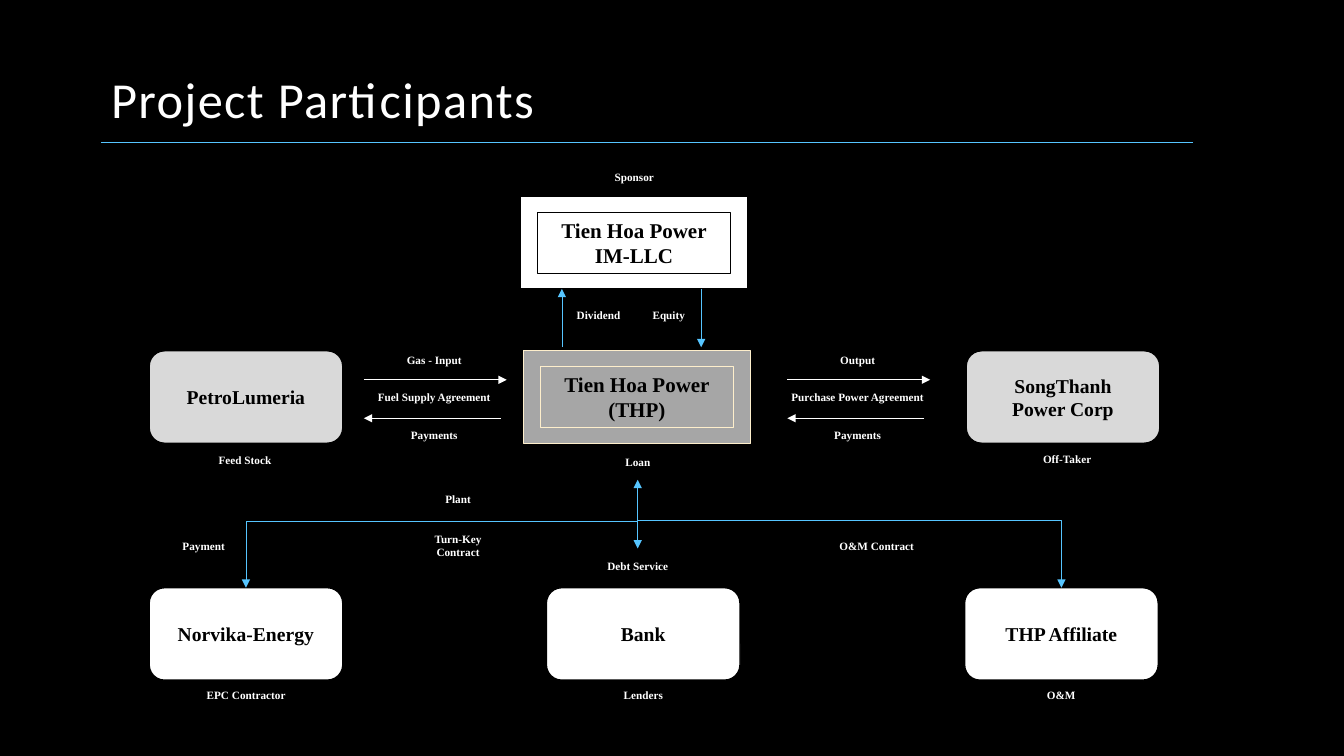
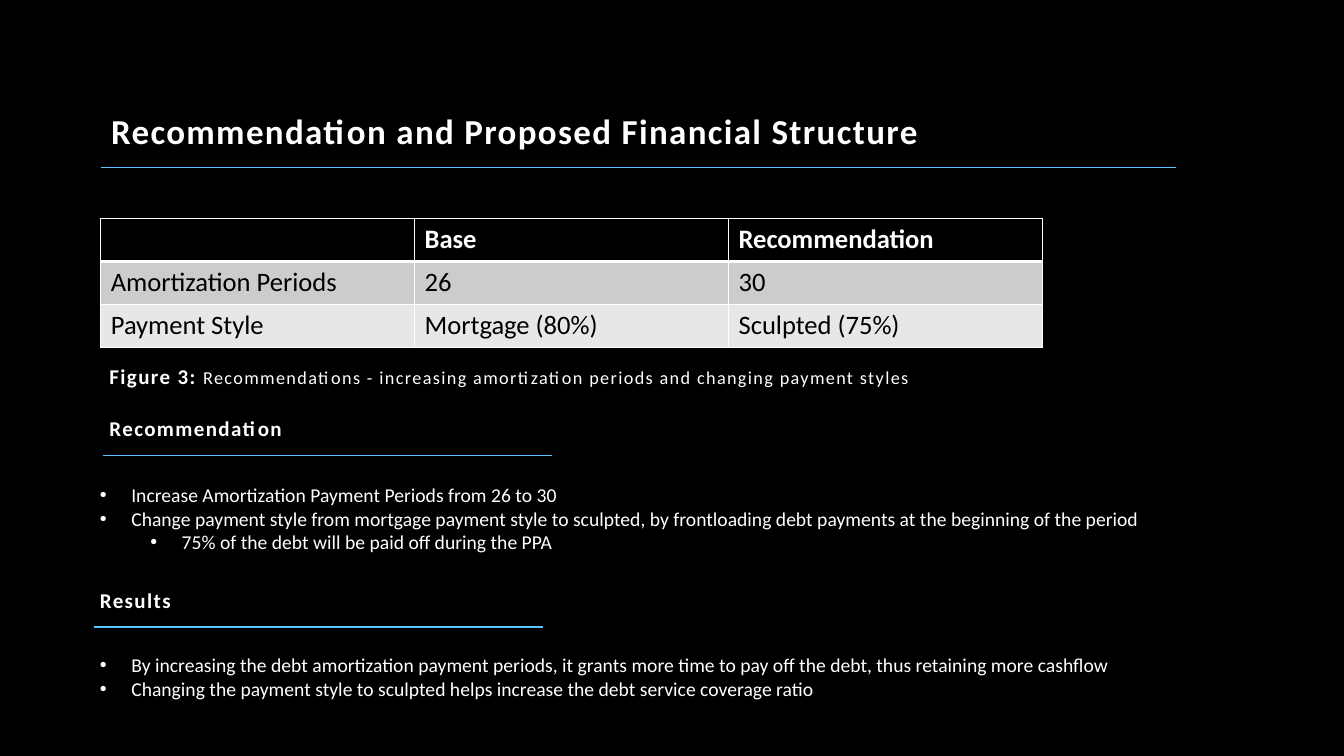
from pptx import Presentation
from pptx.dml.color import RGBColor
from pptx.enum.shapes import MSO_CONNECTOR as Link, MSO_SHAPE as Shape
from pptx.enum.text import MSO_ANCHOR as Anchor, PP_ALIGN as Align
from pptx.oxml.ns import qn
from pptx.oxml.xmlchemy import OxmlElement as Element
from pptx.util import Cm, Pt

BLACK, WHITE, BLUE = "000000", "FFFFFF", "56C5FF"
LIGHT, MID, CREAM = "D9D9D9", "A6A6A6", "FEEFCC"
SANS, SERIF = "Calibri", "Times New Roman"


def rgb(code):
    return RGBColor.from_string(code)


def child(parent, tag, **attributes):
    node = Element(tag)
    for name, value in attributes.items():
        node.set(name, str(value))
    parent.append(node)
    return node


def write(paragraph, text, size, font=SANS, color=WHITE, bold=False,
          align=None, leading=None, tracking=None):
    run = paragraph.add_run()
    run.text = text
    run.font.size, run.font.name, run.font.bold = Pt(size), font, bold
    run.font.color.rgb = rgb(color)
    if align is not None:
        paragraph.alignment = align
    if leading:
        paragraph.line_spacing = leading
    if tracking:
        run.font._element.set("spc", str(tracking))


class Deck:
    heading_style = dict(leading=0.9, tracking=100)
    box_style = dict(font=SERIF, bold=True, align=Align.CENTER)
    party_size = (4.88, 2.33)
    frame_size = (5.73, 2.33)
    label_width = 4.45

    def __init__(self):
        self.prs = Presentation()
        self.prs.slide_width, self.prs.slide_height = Cm(33.87), Cm(19.05)
        self.slide = None

    def new_slide(self, title, top, height, size, rule_end, rule_y, bold=False):
        self.slide = self.prs.slides.add_slide(self.prs.slide_layouts[6])
        background = self.slide.background.fill
        background.solid()
        background.fore_color.rgb = rgb(BLACK)
        self.heading([(title, size, bold)], 2.55, top, 25.4, height)
        self.line((2.55, rule_y), (rule_end, rule_y), BLUE, 1)

    def frame(self, x, y, width, height):
        box = self.slide.shapes.add_textbox(Cm(x), Cm(y), Cm(width), Cm(height))
        box.text_frame.word_wrap = True
        return box.text_frame

    def fill_lines(self, frame, lines, **style):
        for index, text in enumerate(lines):
            paragraph = frame.add_paragraph() if index else frame.paragraphs[0]
            write(paragraph, text, **style)

    def heading(self, parts, x, y, width, height=1.07):
        paragraph = self.frame(x, y, width, height).paragraphs[0]
        for text, size, bold in parts:
            write(paragraph, text, size, bold=bold, **self.heading_style)

    def label(self, x, y, *lines):
        frame = self.frame(x, y, self.label_width, 0.27 + 0.34 * len(lines))
        self.fill_lines(frame, lines, size=8, **self.box_style)

    def box(self, kind, x, y, size, fill, line=BLACK, weight=1):
        shape = self.slide.shapes.add_shape(kind, Cm(x), Cm(y), *map(Cm, size))
        shape.shadow.inherit = False
        shape.fill.solid()
        shape.fill.fore_color.rgb = rgb(fill)
        shape.line.color.rgb = rgb(line)
        shape.line.width = Pt(weight)
        return shape.text_frame

    def party(self, x, y, fill, *lines):
        frame = self.box(Shape.ROUNDED_RECTANGLE, x, y, self.party_size, fill)
        frame.vertical_anchor = Anchor.MIDDLE
        self.fill_lines(frame, lines, size=14, color=BLACK, **self.box_style)

    def company(self, x, y, fill, line, *lines):
        self.box(Shape.RECTANGLE, x, y, self.frame_size, fill, line)
        frame = self.box(Shape.RECTANGLE, x + 0.43, y + 0.4, (4.86, 1.54),
                         fill, line, 0.75)
        frame.vertical_anchor = Anchor.TOP
        self.fill_lines(frame, lines, size=15, color=BLACK, **self.box_style)

    def line(self, start, end, color, weight=0.5, heads=(), kind=Link.STRAIGHT):
        link = self.slide.shapes.add_connector(kind, *map(Cm, start + end))
        link.line.color.rgb = rgb(color)
        link.line.width = Pt(weight)
        properties = link._element.spPr
        for head in heads:
            child(properties.find(qn("a:ln")), f"a:{head}", type="triangle")
        child(properties, "a:effectLst")
        if kind == Link.ELBOW:
            properties.find(qn("a:prstGeom")).set("prst", "bentConnector2")

    def arrow(self, start, end, color=BLUE, **style):
        self.line(start, end, color, heads=("tailEnd",), **style)

    def exchange(self, x, supply, agreement):
        for row, text in enumerate((supply, agreement, "Payments")):
            self.label(x, 8.77 + 0.95 * row, text)
        left = x + 0.45
        self.arrow((left, 9.57), (left + 3.6, 9.57), WHITE)
        self.arrow((left + 3.45, 10.54), (left, 10.54), WHITE)

    def bullets(self, x, y, items):
        frame = self.frame(x, y, 27.36, 0.25 + 0.6 * len(items))
        self.fill_lines(frame, [text for _, text in items], size=14,
                        align=Align.JUSTIFY)
        for paragraph, (level, _) in zip(frame.paragraphs, items):
            paragraph.level = level
            properties = paragraph._p.get_or_add_pPr()
            properties.set("marL", str(Cm(0.79 + 1.27 * level)))
            properties.set("indent", str(-Cm(0.79)))
            child(properties, "a:buFont", typeface="Arial")
            child(properties, "a:buChar", char="•")

    def section(self, title, x, y, bullets_y, items):
        self.heading([(title, 15, True)], x, y, 11.38)
        rule_x, rule_y = x + 0.09, y + 1.05
        self.line((rule_x, rule_y), (rule_x + 11.32, rule_y), BLUE, 1)
        self.bullets(2.27, bullets_y, items)

    def border(self, cell, side, weight):
        edge = child(cell._tc.get_or_add_tcPr(), f"a:{side}", w=Pt(weight))
        child(child(edge, "a:solidFill"), "a:srgbClr", val=WHITE)

    def table(self, x, y, column_width, row_height, rows, fills):
        count = len(rows[0])
        table = self.slide.shapes.add_table(
            len(rows), count, Cm(x), Cm(y), Cm(column_width * count),
            Cm(row_height * len(rows))).table
        for column in table.columns:
            column.width = Cm(column_width)
        for r, (texts, fill) in enumerate(zip(rows, fills)):
            table.rows[r].height = Cm(row_height)
            for c, text in enumerate(texts):
                cell = table.cell(r, c)
                weights = (1, 1, 3 if r == 1 else 1, 3 if r == 0 else 1)
                for side, weight in zip(("lnL", "lnR", "lnT", "lnB"), weights):
                    self.border(cell, side, weight)
                cell.fill.solid()
                cell.fill.fore_color.rgb = rgb(fill)
                if text:
                    write(cell.text_frame.paragraphs[0], text, 19, bold=r == 0,
                          color=BLACK if r else WHITE)


def participants(deck):
    deck.new_slide("Project Participants", 1.76, 2.11, 36, 30.06, 3.59)

    deck.company(13.12, 4.95, WHITE, BLACK, "Tien Hoa Power", "IM-LLC")
    deck.company(13.19, 8.84, MID, CREAM, "Tien Hoa Power (THP)")

    deck.party(3.76, 8.84, LIGHT, "PetroLumeria")
    deck.party(24.35, 8.84, LIGHT, "SongThanh", "Power Corp")
    for x, name in ((3.76, "Norvika-Energy"), (13.77, "Bank"),
                    (24.31, "THP Affiliate")):
        deck.party(x, 14.81, WHITE, name)

    deck.exchange(8.72, "Gas - Input", "Fuel Supply Agreement")
    deck.exchange(19.39, "Output", "Purchase Power Agreement")

    for x, y, *lines in (
            (13.76, 4.17, "Sponsor"),
            (12.86, 7.65, "Dividend"), (14.63, 7.65, "Equity"),
            (3.95, 11.3, "Feed Stock"), (24.67, 11.28, "Off-Taker"),
            (13.85, 11.35, "Loan"), (13.85, 13.97, "Debt Service"),
            (9.32, 12.27, "Plant"), (9.32, 13.29, "Turn-Key", "Contract"),
            (2.91, 13.46, "Payment"), (19.87, 13.46, "O&M Contract"),
            (3.98, 17.22, "EPC Contractor"), (13.99, 17.22, "Lenders"),
            (24.52, 17.22, "O&M")):
        deck.label(x, y, *lines)

    deck.arrow((14.16, 8.75), (14.16, 7.28))
    deck.arrow((17.67, 7.28), (17.67, 8.75))
    deck.line((16.07, 12.09), (16.07, 13.82), BLUE, heads=("headEnd", "tailEnd"))
    for contractor_x, trunk_y in ((6.2, 13.14), (26.75, 13.11)):
        deck.arrow((16.06, trunk_y), (contractor_x, 14.81), kind=Link.ELBOW)


def recommendation(deck):
    deck.new_slide("Recommendation and Proposed Financial Structure",
                   2.75, 1.5, 25, 29.63, 4.22, bold=True)
    deck.table(2.54, 5.51, 7.91, 1.08,
               (("", "Base", "Recommendation"),
                ("Amortization Periods", "26", "30"),
                ("Payment Style", "Mortgage (80%)", "Sculpted (75%)")),
               (BLACK, "CCCCCC", "E7E7E7"))
    deck.heading([("Figure 3: ", 15, True),
                  ("Recommendations - increasing amortization periods and "
                   "changing payment styles", 13, False)], 2.51, 9.11, 24.13)
    deck.section("Recommendation", 2.51, 10.43, 12.05, (
        (0, "Increase Amortization Payment Periods from 26 to 30"),
        (0, "Change payment style from mortgage payment style to sculpted, by "
            "frontloading debt payments at the beginning of the period"),
        (1, "75% of the debt will be paid off during the PPA")))
    deck.section("Results", 2.27, 14.75, 16.33, (
        (0, "By increasing the debt amortization payment periods, it grants "
            "more time to pay off the debt, thus retaining more cashflow"),
        (0, "Changing the payment style to sculpted helps increase the debt "
            "service coverage ratio")))


def main():
    deck = Deck()
    participants(deck)
    recommendation(deck)
    deck.prs.save("out.pptx")


if __name__ == "__main__":
    main()
